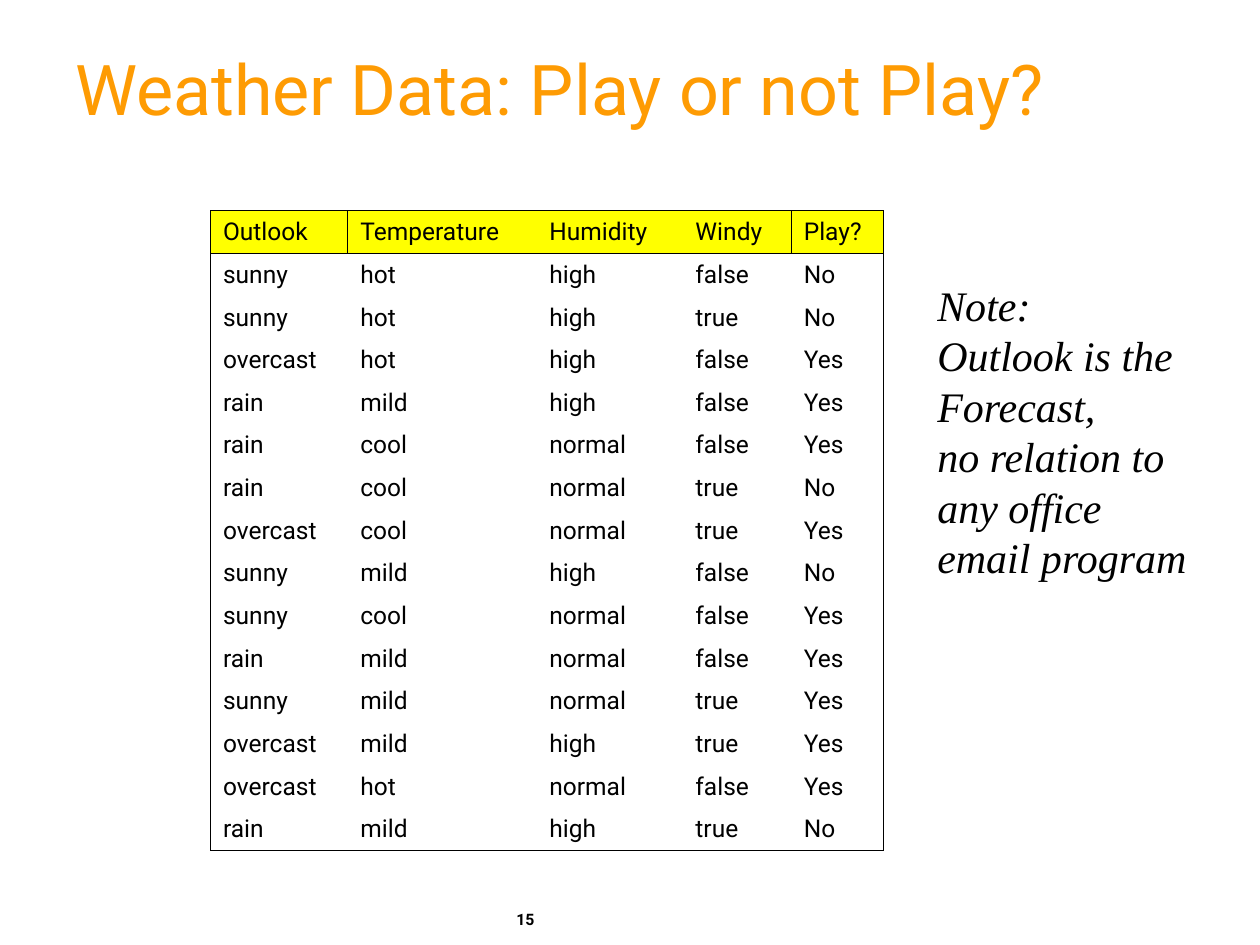
from lxml.etree import SubElement
from pptx import Presentation
from pptx.dml.color import RGBColor
from pptx.enum.text import MSO_ANCHOR as Anchor, MSO_AUTO_SIZE as AutoSize
from pptx.oxml.ns import qn
from pptx.util import Inches, Pt

COLORS = {"title": "FE9B03", "text": "000000", "header": "FFFF00", "border": "000000"}
TITLE = {"name": "Roboto", "size": Pt(40)}
CELL = {"name": "Roboto", "size": Pt(14)}
NOTE = {"name": "Times New Roman", "size": Pt(24), "italic": True}
NUMBER = {"name": "Roboto", "size": Pt(9), "bold": True}
NO_STYLE = "{2D5ABB26-0587-4C30-8999-92F81FD0307C}"
THICK, THIN = Pt(0.45), Pt(0.06)


def write(frame, lines, style, color="text"):
    for index, line in enumerate(lines):
        para = frame.paragraphs[0] if index == 0 else frame.add_paragraph()
        span = para.add_run()
        span.text = line
        for name, value in style.items():
            setattr(span.font, name, value)
        span.font.color.rgb = RGBColor.from_string(COLORS[color])


def draw_border(cell, side, width):
    line = SubElement(cell._tc.get_or_add_tcPr(), qn(f"a:ln{side}"))
    if width:
        line.set("w", str(width))
        fill = SubElement(line, qn("a:solidFill"))
        SubElement(fill, qn("a:srgbClr"), val=COLORS["border"])
    else:
        SubElement(line, qn("a:noFill"))


deck = Presentation()
deck.slide_width, deck.slide_height = Inches(10), Inches(7.5)
page = deck.slides.add_slide(deck.slide_layouts[6])

title = page.shapes.add_textbox(Inches(0.5), Inches(0.25), Inches(9.08), Inches(1)).text_frame
title.word_wrap = True
title.vertical_anchor = Anchor.MIDDLE
write(title, ["Weather Data: Play or not Play?"], TITLE, "title")
title.paragraphs[0].line_spacing = 0.85

weather = [row.split() for row in """\
Outlook Temperature Humidity Windy Play?
sunny hot high false No
sunny hot high true No
overcast hot high false Yes
rain mild high false Yes
rain cool normal false Yes
rain cool normal true No
overcast cool normal true Yes
sunny mild high false No
sunny cool normal false Yes
rain mild normal false Yes
sunny mild normal true Yes
overcast mild high true Yes
overcast hot normal false Yes
rain mild high true No""".splitlines()]
widths = [1.09, 1.5, 1.16, 0.86, 0.73]
last_row, last_column = len(weather) - 1, len(widths) - 1

table = page.shapes.add_table(len(weather), len(widths), Inches(1.67), Inches(1.67),
                              Inches(5.33), Inches(5.08)).table
table.first_row = table.horz_banding = False
table._tbl.tblPr.find(qn("a:tableStyleId")).text = NO_STYLE
for column, width in zip(table.columns, widths):
    column.width = Inches(width)

for r, row in enumerate(weather):
    for c, value in enumerate(row):
        cell = table.cell(r, c)
        cell.vertical_anchor = Anchor.BOTTOM
        write(cell.text_frame, [value], CELL)
        header = r == 0
        borders = {
            "L": THIN if c == 0 else THICK if header and c in (1, last_column) else None,
            "R": THIN if c == last_column else THICK if header and c in (0, last_column - 1) else None,
            "T": THICK if r <= 1 else None,
            "B": THICK if r in (0, last_row) else None,
        }
        for side, width in borders.items():
            draw_border(cell, side, width)
        if header:
            cell.fill.solid()
            cell.fill.fore_color.rgb = RGBColor.from_string(COLORS["header"])
        else:
            cell.fill.background()

note = page.shapes.add_textbox(Inches(7.34), Inches(2.17), Inches(2.19), Inches(2.5)).text_frame
note.word_wrap = False
note.auto_size = AutoSize.SHAPE_TO_FIT_TEXT
write(note, ["Note:", "Outlook is the", "Forecast,", "no relation to", "any office", "email program"], NOTE)

number = page.shapes.add_textbox(Inches(4), Inches(7.17), Inches(1.02), Inches(0.33)).text_frame
number.word_wrap = True
write(number, ["15"], NUMBER)

deck.save("out.pptx")
